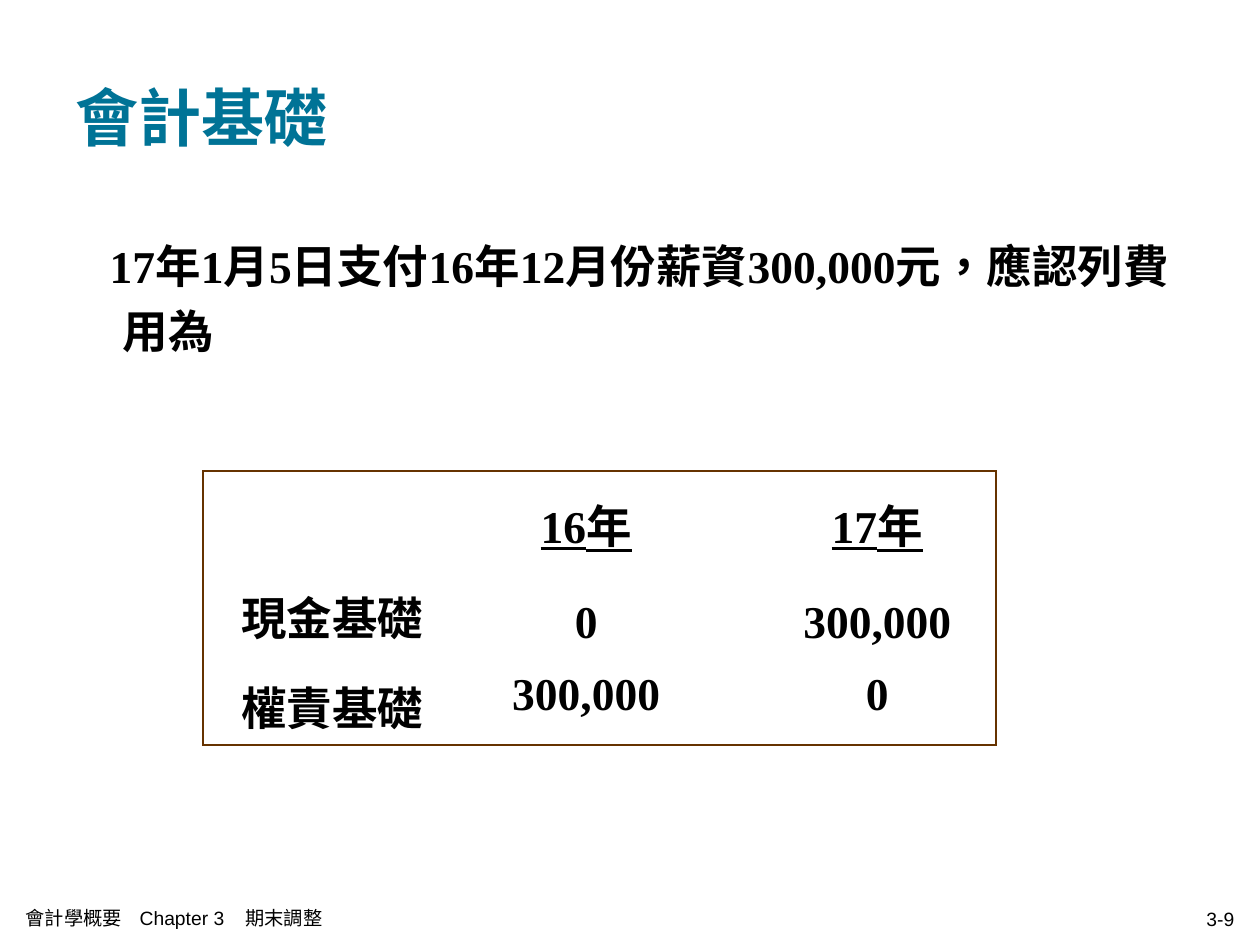
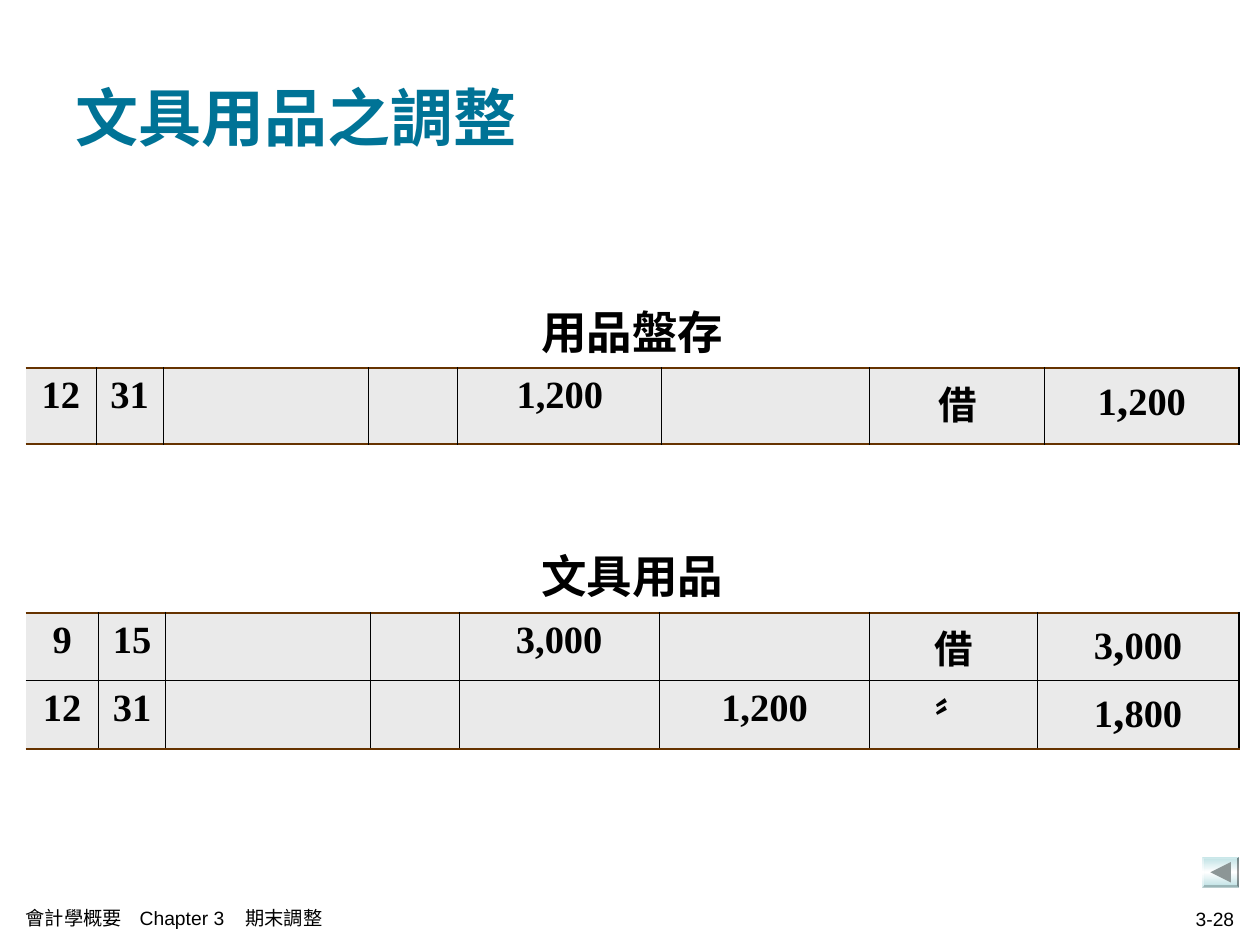
from collections import namedtuple
from copy import deepcopy

from lxml.etree import SubElement
from pptx import Presentation
from pptx.dml.color import RGBColor
from pptx.enum.lang import MSO_LANGUAGE_ID
from pptx.enum.shapes import MSO_SHAPE
from pptx.enum.text import MSO_ANCHOR, MSO_AUTO_SIZE, PP_ALIGN
from pptx.oxml import parse_xml
from pptx.oxml.ns import nsdecls, qn
from pptx.util import Inches, Pt

COLORS = {
    "title": "007396",
    "text": "000000",
    "frame": "663300",
    "rule": "000000",
    "ledger": "EAEAEA",
    "button": "BBE0E3",
    "shine": "FFFFFF",
    "arrow": "8C9696",
}
SERIF, SANS = "Times New Roman", "Arial"
COLUMNS, ROWS = 100, 75
SLIDE_WIDTH, SLIDE_HEIGHT = Inches(10), Inches(7.5)
PLAIN_TABLE = "{2D5ABB26-0587-4C30-8999-92F81FD0307C}"
THICK, THIN = 1.08, 0.45
FRAME, EDGE, RULE = ("frame", THICK), ("rule", THICK), ("rule", THIN)

Box = namedtuple("Box", "left top width height")
TITLE_BOX = Box(5, 3, 90, 12.5)
BODY_BOX = Box(5, 17.5, 90, 49.5)
FOOTER_BOX = Box(1.05, 71.2, 51, 3.3)
NUMBER_BOX = Box(75.65, 71.3, 23.3, 3.3)


def across(columns):
    return round(SLIDE_WIDTH * columns / COLUMNS)


def down(rows):
    return round(SLIDE_HEIGHT * rows / ROWS)


def place(box):
    return across(box.left), down(box.top), across(box.width), down(box.height)


def rgb(name):
    return RGBColor.from_string(COLORS[name])


def add_run(paragraph, words, size, face=SERIF, color="text", bold=True, underline=False):
    run = paragraph.add_run()
    run.text = words
    font = run.font
    font.size, font.name, font.bold = Pt(size), face, bold
    font.underline = underline
    font.color.rgb = rgb(color)
    font.language_id = MSO_LANGUAGE_ID.TRADITIONAL_CHINESE


def move_placeholder(placeholder, box, anchor):
    placeholder.left, placeholder.top, placeholder.width, placeholder.height = place(box)
    frame = placeholder.text_frame
    frame.auto_size = MSO_AUTO_SIZE.NONE
    frame.vertical_anchor = anchor
    paragraph = frame.paragraphs[0]
    paragraph.alignment = PP_ALIGN.LEFT
    paragraph.space_before = Pt(0)
    return paragraph


def add_title(slide, heading):
    paragraph = move_placeholder(slide.shapes.title, TITLE_BOX, MSO_ANCHOR.MIDDLE)
    add_run(paragraph, heading, 36, color="title")


def add_question(slide, question):
    paragraph = move_placeholder(slide.placeholders[1], BODY_BOX, MSO_ANCHOR.TOP)
    properties = paragraph._p.get_or_add_pPr()
    properties.set("marL", str(across(3.75)))
    properties.set("indent", str(across(-1.05)))
    SubElement(properties, qn("a:buNone"))
    paragraph.line_spacing = 1.2
    add_run(paragraph, question, 26)


def add_footer_part(slide, box, words, alignment, stops=()):
    frame = slide.shapes.add_textbox(*place(box)).text_frame
    frame.word_wrap = True
    frame.vertical_anchor = MSO_ANCHOR.MIDDLE
    paragraph = frame.paragraphs[0]
    paragraph.alignment = alignment
    if stops:
        tabs = SubElement(paragraph._p.get_or_add_pPr(), qn("a:tabLst"))
        for stop in stops:
            SubElement(tabs, qn("a:tab"), pos=str(across(stop)), algn="l")
    add_run(paragraph, words, 11, SANS, bold=False)


def add_footer(slide, page):
    add_footer_part(slide, FOOTER_BOX, "會計學概要\tChapter 3\t期末調整", PP_ALIGN.LEFT, (9.05, 17.45))
    add_footer_part(slide, NUMBER_BOX, page, PP_ALIGN.RIGHT)


def add_plain_table(slide, left, top, widths, heights):
    box = Box(left, top, sum(widths), sum(heights))
    table = slide.shapes.add_table(len(heights), len(widths), *place(box)).table
    table.first_row = table.horz_banding = False
    table._tbl.tblPr.find(qn("a:tableStyleId")).text = PLAIN_TABLE
    for column, width in zip(table.columns, widths):
        column.width = across(width)
    for row, height in zip(table.rows, heights):
        row.height = down(height)
    return table


def set_borders(cell, **sides):
    properties = cell._tc.get_or_add_tcPr()
    drawn = [side for side in "LRTB" if sides.get(side)]
    for position, side in enumerate(drawn):
        color, width = sides[side]
        properties.insert(position, parse_xml(
            f'<a:ln{side} {nsdecls("a")} w="{Pt(width)}"><a:solidFill>'
            f'<a:srgbClr val="{COLORS[color]}"/></a:solidFill></a:ln{side}>'))


def add_basis_table(slide, left, top):
    table = add_plain_table(slide, left, top, (20.5, 19.8, 3.8, 18.8), (7.25, 14.5))
    entries = [
        [(), ("16年",), (), ("17年",)],
        [("現金基礎", "權責基礎"), ("0", "300,000"), (), ("300,000", "0")],
    ]
    for row, cells in enumerate(entries):
        for column, lines in enumerate(cells):
            cell = table.cell(row, column)
            cell.vertical_anchor = MSO_ANCHOR.MIDDLE
            set_borders(
                cell,
                L=FRAME if column == 0 else None,
                R=FRAME if column == 3 else None,
                T=FRAME if row == 0 else None,
                B=FRAME if row == 1 else None,
            )
            for index, line in enumerate(lines):
                frame = cell.text_frame
                paragraph = frame.add_paragraph() if index else frame.paragraphs[0]
                paragraph.alignment = PP_ALIGN.CENTER
                paragraph.line_spacing = 1.2
                if index:
                    paragraph.space_before = Pt(6.5)
                add_run(paragraph, line, 26, underline=row == 0)


def add_ledger(slide, left, top, account, widths, heights, entries):
    table = add_plain_table(slide, left, top, widths, heights)
    last = len(widths) - 1
    header = table.cell(0, 0)
    header.merge(table.cell(0, last))
    paragraph = header.text_frame.paragraphs[0]
    paragraph.alignment = PP_ALIGN.CENTER
    add_run(paragraph, account, 26)
    for column in range(last + 1):
        set_borders(table.cell(0, column), B=FRAME)
    for row, values in enumerate(entries, 1):
        for column, value in enumerate(values):
            cell = table.cell(row, column)
            cell.fill.solid()
            cell.fill.fore_color.rgb = rgb("ledger")
            set_borders(
                cell,
                L=RULE if column else None,
                R=EDGE if column == last else RULE,
                T=FRAME if row == 1 else RULE,
                B=FRAME if row == len(entries) else RULE,
            )
            paragraph = cell.text_frame.paragraphs[0]
            paragraph.alignment = PP_ALIGN.CENTER
            pieces = value.partition(",") if column == last else (value,)
            for piece in filter(None, pieces):
                add_run(paragraph, piece, 26 if piece == "," else 22)


def add_back_button(slide, box):
    button = slide.shapes.add_shape(MSO_SHAPE.BEVEL, *place(box))
    button.adjustments[0] = 0.08
    button.shadow.inherit = False
    button.line.fill.background()
    button.fill.gradient()
    button.fill.gradient_angle = 90
    stops = button.fill.gradient_stops
    for stop, color, position in zip(stops, ("button", "shine"), (0, 0.5)):
        stop.color.rgb = rgb(color)
        stop.position = position
    stop_list = button._element.spPr.find(qn("a:gradFill")).find(qn("a:gsLst"))
    closing = deepcopy(stop_list[0])
    closing.set("pos", "100000")
    stop_list.append(closing)

    side = box.height * 2 / 3
    arrow_box = Box(box.left + (box.width - side) / 2, box.top + (box.height - side) / 2, side, side)
    arrow = slide.shapes.add_shape(MSO_SHAPE.ISOSCELES_TRIANGLE, *place(arrow_box))
    arrow.rotation = 270
    arrow.shadow.inherit = False
    arrow.fill.solid()
    arrow.fill.fore_color.rgb = rgb("arrow")
    arrow.line.fill.background()


def start_slide(deck, layout, heading, page):
    slide = deck.slides.add_slide(deck.slide_layouts[layout])
    add_title(slide, heading)
    add_footer(slide, page)
    return slide


def build_basis_slide(deck):
    slide = start_slide(deck, 1, "會計基礎", "3-9")
    add_question(slide, "17年1月5日支付16年12月份薪資300,000元，應認列費用為")
    add_basis_table(slide, 16.13, 37.4)


def build_supplies_slide(deck):
    slide = start_slide(deck, 5, "文具用品之調整", "3-28")
    add_ledger(
        slide, 2.03, 23, "用品盤存",
        (5.6, 5.3, 16.3, 7.1, 16.2, 16.5, 13.9, 15.4), (6.23, 6),
        [("12", "31", "", "", "1,200", "", "借", "1,200")],
    )
    add_ledger(
        slide, 2.03, 42.4, "文具用品",
        (5.8, 5.3, 16.3, 7, 15.9, 16.7, 13.3, 16), (6.23, 5.4, 5.4),
        [
            ("9", "15", "", "", "3,000", "", "借", "3,000"),
            ("12", "31", "", "", "", "1,200", "〞", "1,800"),
        ],
    )
    add_back_button(slide, Box(95.4, 68, 2.95, 2.45))


def main():
    deck = Presentation()
    deck.slide_width, deck.slide_height = SLIDE_WIDTH, SLIDE_HEIGHT
    build_basis_slide(deck)
    build_supplies_slide(deck)
    deck.save("out.pptx")


if __name__ == "__main__":
    main()
